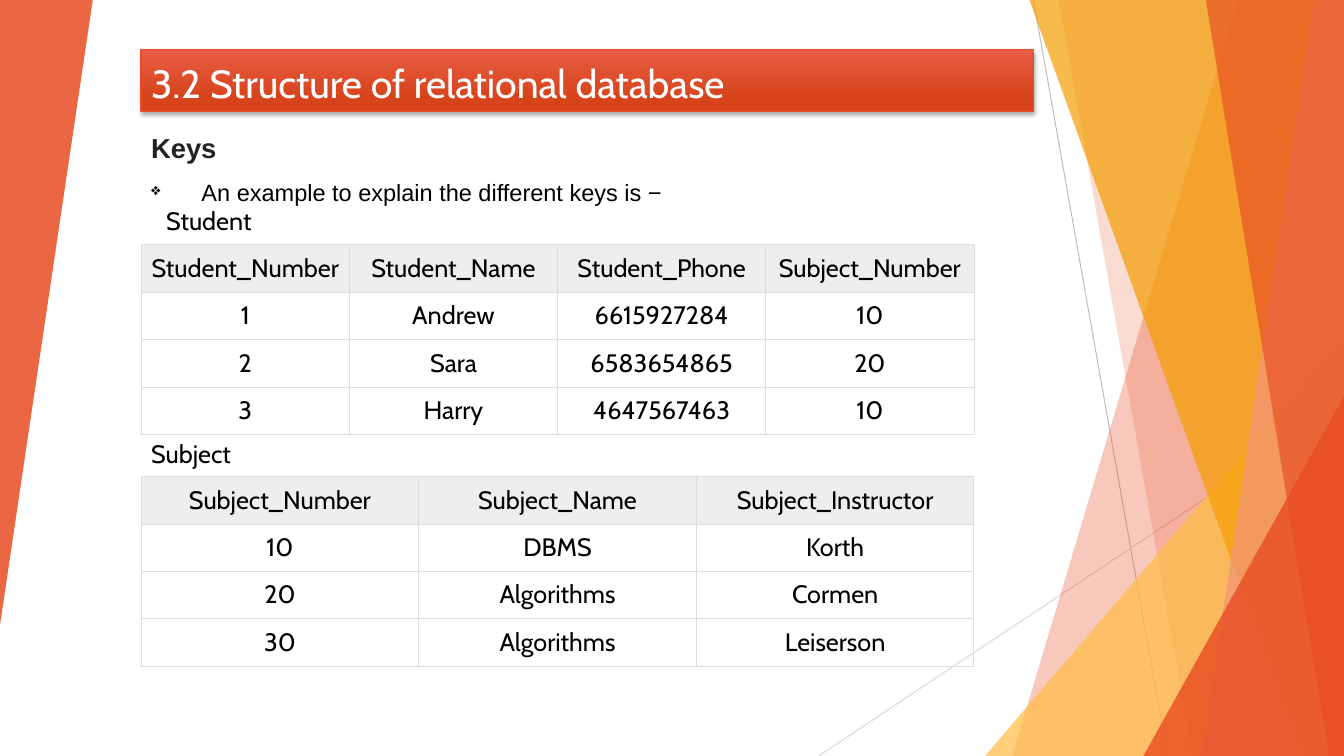
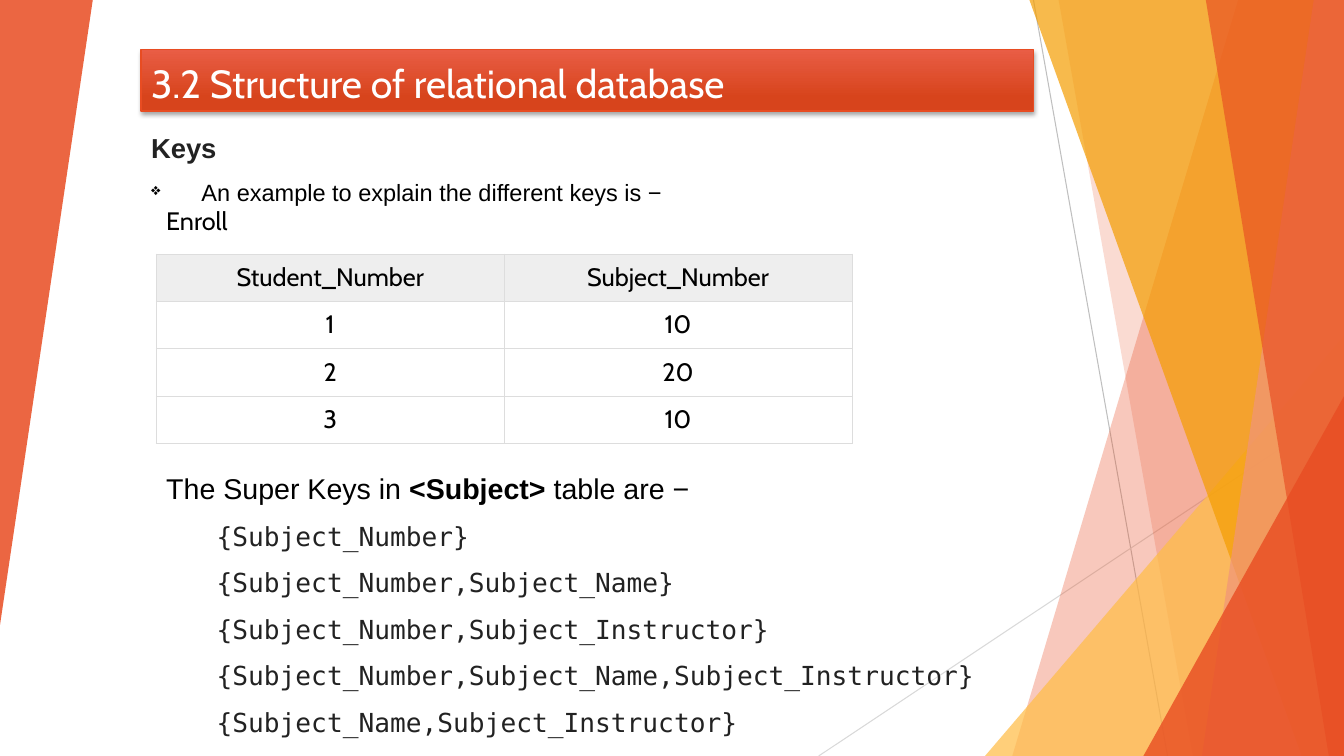
from lxml import etree
from pptx import Presentation
from pptx.dml.color import RGBColor
from pptx.enum.shapes import MSO_CONNECTOR, MSO_SHAPE
from pptx.enum.text import MSO_ANCHOR, PP_ALIGN
from pptx.oxml.ns import qn
from pptx.util import Inches, Pt

LEFT, CENTER, JUSTIFY = PP_ALIGN.LEFT, PP_ALIGN.CENTER, PP_ALIGN.JUSTIFY
BOTTOM = MSO_ANCHOR.BOTTOM
RECTANGLE, TRIANGLE = MSO_SHAPE.RECTANGLE, MSO_SHAPE.ISOSCELES_TRIANGLE
STRAIGHT = MSO_CONNECTOR.STRAIGHT

WIDTH, HEIGHT = 13.33, 7.5
MARGIN, CONTENT_WIDTH = 1.4, 8.85
INDENTED = 1.55
ROW_HEIGHT = 0.47
CELL_INSET = 0.08

BLACK, WHITE, INK = "000000", "FFFFFF", "222222"
ORANGE, AMBER, GOLD, SALMON = "E84C22", "FFBD47", "F49D00", "F1947A"
BAND_TOP, BAND_BOTTOM = "E95D45", "D7441C"
HEADER_FILL, BORDER = "EEEEEE", "DDDDDD"
HEADING_FONT, BODY_FONT, CODE_FONT = "Cabin", "Arial", "DejaVu Sans Mono"

STUDENTS = [
    ["Student_Number", "Student_Name", "Student_Phone", "Subject_Number"],
    ["1", "Andrew", "6615927284", "10"],
    ["2", "Sara", "6583654865", "20"],
    ["3", "Harry", "4647567463", "10"],
]
SUBJECTS = [
    ["Subject_Number", "Subject_Name", "Subject_Instructor"],
    ["10", "DBMS", "Korth"],
    ["20", "Algorithms", "Cormen"],
    ["30", "Algorithms", "Leiserson"],
]
ENROLLMENTS = [
    ["Student_Number", "Subject_Number"],
    ["1", "10"],
    ["2", "20"],
    ["3", "10"],
]
SUPER_KEYS = [
    "{Subject_Number}",
    "{Subject_Number,Subject_Name}",
    "{Subject_Number,Subject_Instructor}",
    "{Subject_Number,Subject_Name,Subject_Instructor}",
    "{Subject_Name,Subject_Instructor}",
]


def rgb(color):
    return RGBColor.from_string(color)


def child(parent, tag, **attributes):
    return etree.SubElement(parent, qn(tag), attributes)


def write(frame, content, size=18, font=HEADING_FONT, color=BLACK, bold=False,
          align=LEFT, before=0, indent=0, hanging=0, bullet=None):
    """Add a paragraph; content is a string or a list of (text, bold) runs."""
    paragraph = frame.add_paragraph() if frame.text else frame.paragraphs[0]
    paragraph.alignment = align
    paragraph.space_before = Pt(before)
    properties = paragraph._p.get_or_add_pPr()
    properties.set("marL", str(Inches(indent)))
    properties.set("indent", str(-Inches(hanging)))
    if bullet:
        child(child(properties, "a:buClr"), "a:srgbClr", val=color)
        child(properties, "a:buSzPct", val="71000")
        child(properties, "a:buChar", char=bullet)
    runs = [(content, bold)] if isinstance(content, str) else content
    for text, run_bold in runs:
        run = paragraph.add_run()
        run.text = text
        run.font.name = font
        run.font.size = Pt(size)
        run.font.bold = run_bold
        run.font.color.rgb = rgb(color)


def add_text_box(slide, left, top, width, height):
    box = slide.shapes.add_textbox(Inches(left), Inches(top), Inches(width), Inches(height))
    box.text_frame.word_wrap = True
    return box.text_frame


def add_caption(slide, text, left, top):
    write(add_text_box(slide, left, top, 1.71, 0.4), text)


def tint(shape, color, opacity):
    """Give a shape a translucent fill with no outline or shadow."""
    shape.fill.solid()
    shape.fill.fore_color.rgb = rgb(color)
    fill_color = shape._element.spPr.find(qn("a:solidFill")).find(qn("a:srgbClr"))
    child(fill_color, "a:alpha", val=str(opacity * 1000))
    shape.line.fill.background()
    shape.shadow.inherit = False


def add_line(slide, start, end, color):
    line = slide.shapes.add_connector(STRAIGHT, *map(Inches, start + end))
    line.line.color.rgb = rgb(color)
    line.line.width = Pt(0.75)
    child(line._element.spPr, "a:effectLst")


def add_facet(slide, top_x, bottom_x, color, opacity):
    """Fill the area from a slanted edge to the right side of the slide."""
    builder = slide.shapes.build_freeform(Inches(top_x), 0)
    corners = [(WIDTH, 0), (WIDTH, HEIGHT), (bottom_x, HEIGHT)]
    builder.add_line_segments([(Inches(x), Inches(y)) for x, y in corners])
    tint(builder.convert_to_shape(), color, opacity)


def add_corner(slide, left, top, width, height, color, opacity, rotation=0):
    corner = slide.shapes.add_shape(
        TRIANGLE, Inches(left), Inches(top), Inches(width), Inches(height))
    corner.adjustments[0] = 1
    corner.rotation = rotation
    tint(corner, color, opacity)


def add_backdrop(slide):
    add_line(slide, (10.25, 0), (11.58, HEIGHT), "BFBFBF")
    add_line(slide, (WIDTH, 4.03), (8.12, HEIGHT), "D9D9D9")
    add_facet(slide, 12.28, 10.04, ORANGE, 30)
    add_facet(slide, 10.5, 11.83, ORANGE, 20)
    add_corner(slide, 9.77, 3.33, 3.56, 4.17, AMBER, 72)
    add_facet(slide, 10.21, 12.91, GOLD, 70)
    add_facet(slide, 13.03, 11.92, SALMON, 70)
    add_facet(slide, 11.96, 13.18, ORANGE, 65)
    add_corner(slide, 11.34, 3.93, 1.99, 3.57, ORANGE, 80)
    add_corner(slide, 0, 0, 0.92, 6.2, ORANGE, 85, rotation=180)


def add_title_band(slide, title):
    band = slide.shapes.add_shape(
        RECTANGLE, Inches(MARGIN), Inches(0.49), Inches(CONTENT_WIDTH), Inches(0.61))
    band.fill.gradient()
    band.fill.gradient_angle = 270
    stops = [(0, BAND_TOP), (0.78, BAND_BOTTOM)]
    for stop, (position, color) in zip(band.fill.gradient_stops, stops):
        stop.position = position
        stop.color.rgb = rgb(color)
    band.line.color.rgb = rgb(ORANGE)
    band.line.width = Pt(1)
    band.shadow.inherit = False
    shadow = child(band._element.spPr.find(qn("a:effectLst")), "a:outerShdw",
                   blurRad=str(Pt(3)), dist=str(Pt(2)), dir="5400000", rotWithShape="0")
    child(child(shadow, "a:srgbClr", val=BLACK), "a:alpha", val="35000")
    band.text_frame.word_wrap = True
    band.text_frame.vertical_anchor = BOTTOM
    write(band.text_frame, title, size=28, color=WHITE)


def add_keys_slide(deck):
    """Add a slide with the backdrop, title and introduction that all share."""
    slide = deck.slides.add_slide(deck.slide_layouts[6])
    add_backdrop(slide)
    add_title_band(slide, "3.2 Structure of relational database")
    intro = add_text_box(slide, MARGIN, 1.25, CONTENT_WIDTH, 0.75)
    write(intro, "Keys", size=19.6, font=BODY_FONT, color=INK, bold=True)
    write(intro, "An example to explain the different keys is −", size=16.8,
          font=BODY_FONT, align=JUSTIFY, before=10, indent=0.5, hanging=0.5, bullet="❖")
    return slide


def add_borders(cell):
    properties = cell._tc.get_or_add_tcPr()
    for side in ("a:lnL", "a:lnR", "a:lnT", "a:lnB"):
        edge = child(properties, side, w=str(Pt(0.75)))
        child(child(edge, "a:solidFill"), "a:srgbClr", val=BORDER)


def add_data_table(slide, rows, left, top, width):
    table = slide.shapes.add_table(
        len(rows), len(rows[0]), Inches(left), Inches(top),
        Inches(width), Inches(ROW_HEIGHT * len(rows))).table
    table.first_row = table.horz_banding = False
    for row_index, row in enumerate(rows):
        for column_index, value in enumerate(row):
            cell = table.cell(row_index, column_index)
            cell.margin_left = cell.margin_right = Inches(CELL_INSET)
            cell.margin_top = cell.margin_bottom = Inches(CELL_INSET)
            add_borders(cell)
            if row_index == 0:
                cell.fill.solid()
                cell.fill.fore_color.rgb = rgb(HEADER_FILL)
            else:
                cell.fill.background()
            write(cell.text_frame, value, align=CENTER)


def add_super_keys(slide):
    keys = add_text_box(slide, INDENTED, 4.62, CONTENT_WIDTH, 2.39)
    write(keys, [("The Super Keys in ", False), ("<Subject>", True), (" table are −", False)],
          size=20.4, font=BODY_FONT, align=JUSTIFY)
    for key in SUPER_KEYS:
        write(keys, key, size=18.7, font=CODE_FONT, color=INK, align=JUSTIFY,
              before=10.75, indent=0.5)


def main():
    deck = Presentation()
    deck.slide_width, deck.slide_height = Inches(WIDTH), Inches(HEIGHT)

    example = add_keys_slide(deck)
    add_data_table(example, STUDENTS, MARGIN, 2.43, 8.26)
    add_data_table(example, SUBJECTS, MARGIN, 4.73, 8.26)
    add_caption(example, "Student", INDENTED, 1.99)
    add_caption(example, "Subject", MARGIN, 4.3)

    super_keys = add_keys_slide(deck)
    add_caption(super_keys, "Enroll", INDENTED, 1.99)
    add_data_table(super_keys, ENROLLMENTS, INDENTED, 2.52, 6.9)
    add_super_keys(super_keys)

    deck.save("out.pptx")


if __name__ == "__main__":
    main()
